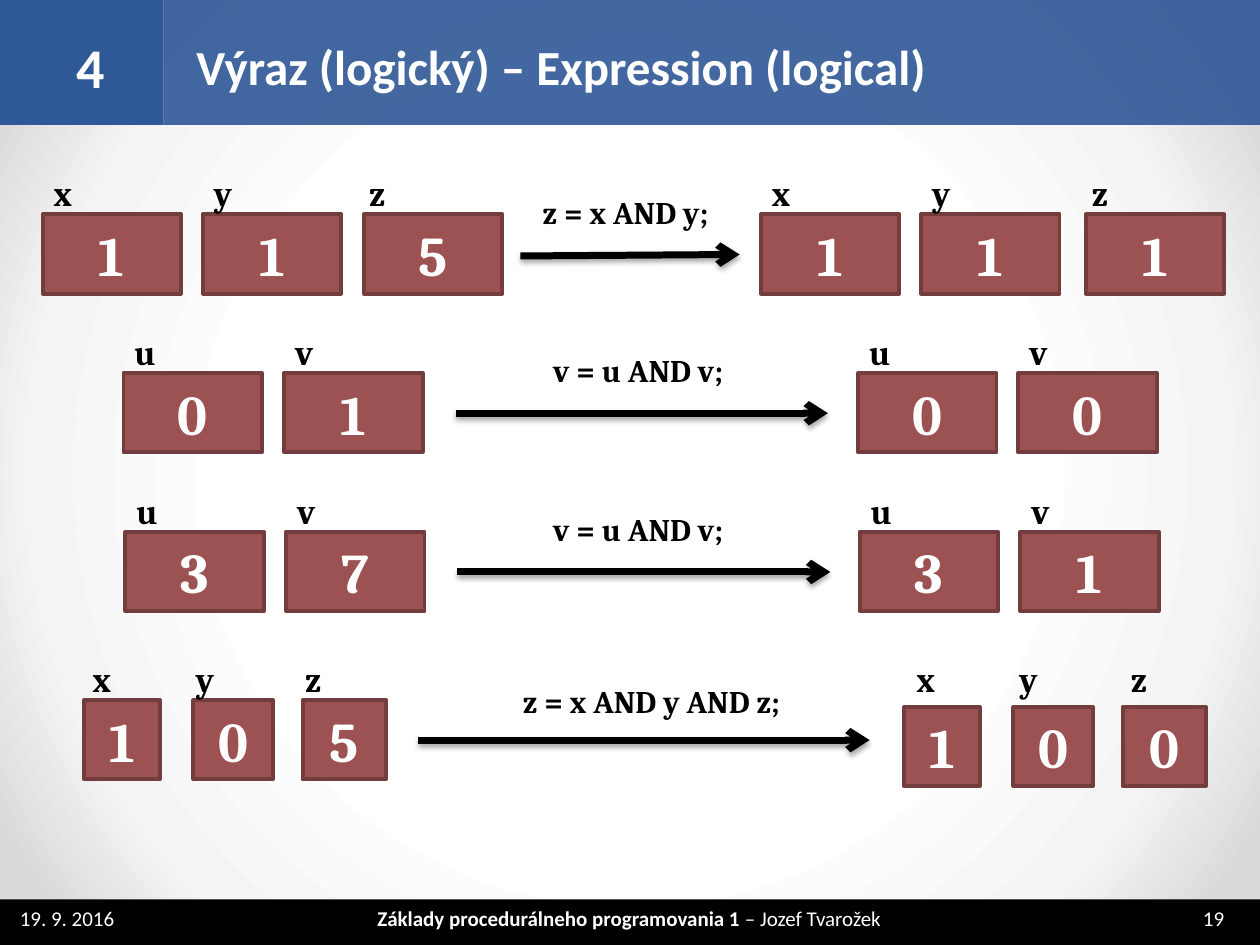
from dataclasses import dataclass

from pptx import Presentation
from pptx.dml.color import RGBColor
from pptx.enum.shapes import MSO_CONNECTOR, MSO_SHAPE
from pptx.enum.text import MSO_ANCHOR as Anchor, MSO_AUTO_SIZE as AutoSize, PP_ALIGN as Align
from pptx.oxml import parse_xml
from pptx.oxml.ns import nsdecls
from pptx.shapes.autoshape import Shape
from pptx.slide import Slide
from pptx.text.text import TextFrame
from pptx.util import Cm, Pt

COLORS = {
    "white": "FFFFFF",
    "pale": "F4F4F4",
    "grey": "DADADA",
    "black": "000000",
    "blue": "2F5897",
    "red": "9C5252",
    "dark_red": "733D3D",
}
NAME_WIDTHS = {"x": 0.86, "y": 0.91, "z": 0.86, "u": 0.94, "v": 0.91}
BOX_WIDTH, BOX_HEIGHT = 2.79, 1.6
NAME_RISE, NAME_HEIGHT = 0.98, 1.12
ARROW_DROP = 0.81


@dataclass(frozen=True)
class Style:
    """Look of a run of text."""
    font: str
    size: float
    color: str
    bold: bool = True


@dataclass(frozen=True)
class Variable:
    """A named memory box, with its name shifted sideways from its left edge."""
    name: str
    value: str
    left: float
    shift: float = -0.03
    width: float = BOX_WIDTH


@dataclass(frozen=True)
class Step:
    """One assignment, with the variables before and after it."""
    top: float
    before: tuple[Variable, ...]
    after: tuple[Variable, ...]
    formula: str
    formula_left: float
    formula_width: float
    arrow_start: float
    arrow_end: float
    formula_rise: float = 0.56
    arrow_slope: float = 0
    after_drop: float = 0


TITLE = Style("Calibri", 28, "white")
CHAPTER = Style("Calibri", 32, "white")
FOOTER = Style("Calibri", 12, "white", False)
FOOTER_BOLD = Style("Calibri", 12, "white")
VALUE = Style("Cambria", 32, "white")
NAME = Style("Cambria", 20, "black")
FORMULA = Style("Cambria", 18, "black")

STEPS = (
    Step(4.32,
         (Variable("x", "1", 0.86), Variable("y", "1", 4.09), Variable("z", "5", 7.34, -0.15)),
         (Variable("x", "1", 15.34), Variable("y", "1", 18.57), Variable("z", "1", 21.89, -0.13)),
         "z = x AND y;", 10.69, 4.19, 10.49, 14.91, arrow_slope=0.03),
    Step(7.52,
         (Variable("u", "0", 2.49), Variable("v", "1", 5.73)),
         (Variable("u", "0", 17.3), Variable("v", "0", 20.53)),
         "v = u AND v;", 10.9, 4.32, 9.19, 16.69),
    Step(10.72,
         (Variable("u", "3", 2.53), Variable("v", "7", 5.77)),
         (Variable("u", "3", 17.33), Variable("v", "1", 20.57)),
         "v = u AND v;", 10.9, 4.32, 9.22, 16.74),
    Step(14.11,
         (Variable("x", "1", 1.7, -0.08, 1.52), Variable("y", "0", 3.9, -0.2, 1.6),
          Variable("z", "5", 6.1, -0.2, 1.68)),
         (Variable("x", "1", 18.23, 0, 1.52), Variable("y", "0", 20.43, -0.13, 1.6),
          Variable("z", "0", 22.63, -0.08, 1.68)),
         "z = x AND y AND z;", 10.29, 6.4, 8.43, 17.53, formula_rise=0.49, after_drop=0.14),
)


def rgb(name: str) -> RGBColor:
    """Look up a colour by name."""
    return RGBColor.from_string(COLORS[name])


def add_span(frame: TextFrame, text: str, style: Style) -> None:
    """Append a styled run to the first paragraph."""
    span = frame.paragraphs[0].add_run()
    span.text = text
    span.font.name = style.font
    span.font.size = Pt(style.size)
    span.font.bold = style.bold
    span.font.color.rgb = rgb(style.color)


def add_text(page: Slide, left: float, top: float, width: float, height: float,
             *spans: tuple[str, Style], align: Align = Align.LEFT, wrap: bool = True) -> TextFrame:
    """Add a text box made of styled runs."""
    frame = page.shapes.add_textbox(Cm(left), Cm(top), Cm(width), Cm(height)).text_frame
    frame.word_wrap = wrap
    frame.auto_size = AutoSize.NONE if wrap else AutoSize.SHAPE_TO_FIT_TEXT
    frame.paragraphs[0].alignment = align
    for text, style in spans:
        add_span(frame, text, style)
    return frame


def add_heading(page: Slide, left: float, width: float, text: str, style: Style, align: Align) -> None:
    """Add a vertically centred text to the top band."""
    frame = add_text(page, left, 0.33, width, 2.01, (text, style), align=align)
    frame.vertical_anchor = Anchor.MIDDLE
    frame.paragraphs[0].space_before = Pt(style.size * 0.2)


def add_box(page: Slide, left: float, top: float, width: float, height: float, fill: str) -> Shape:
    """Add a plain filled rectangle."""
    box = page.shapes.add_shape(MSO_SHAPE.RECTANGLE, Cm(left), Cm(top), Cm(width), Cm(height))
    box.shadow.inherit = False
    box.fill.solid()
    box.fill.fore_color.rgb = rgb(fill)
    box.line.fill.background()
    return box


def add_variable(page: Slide, variable: Variable, top: float, name_top: float) -> None:
    """Draw a memory box with its value and its name above."""
    box = add_box(page, variable.left, top, variable.width, BOX_HEIGHT, "red")
    box.line.color.rgb = rgb("dark_red")
    box.line.width = Pt(2.25)
    frame = box.text_frame
    frame.vertical_anchor = Anchor.MIDDLE
    frame.paragraphs[0].alignment = Align.CENTER
    add_span(frame, variable.value, VALUE)
    add_text(page, variable.left + variable.shift, name_top, NAME_WIDTHS[variable.name],
             NAME_HEIGHT, (variable.name, NAME), wrap=False)


def add_arrow(page: Slide, start: float, end: float, y: float, slope: float) -> None:
    """Draw a thick arrow with a soft shadow."""
    arrow = page.shapes.add_connector(
        MSO_CONNECTOR.STRAIGHT, Cm(start), Cm(y + slope), Cm(end), Cm(y))
    arrow.line.color.rgb = rgb("black")
    arrow.line.width = Pt(4)
    arrow.line._get_or_add_ln().append(parse_xml(f'<a:tailEnd {nsdecls("a")} type="arrow"/>'))
    arrow._element.spPr.append(parse_xml(
        f'<a:effectLst {nsdecls("a")}>'
        '<a:outerShdw blurRad="40000" dist="23000" dir="5400000" rotWithShape="0">'
        f'<a:srgbClr val="{COLORS["black"]}"><a:alpha val="35000"/></a:srgbClr>'
        '</a:outerShdw></a:effectLst>'))


def add_step(page: Slide, step: Step) -> None:
    """Draw one assignment from its old values to its new ones."""
    for variables, drop in ((step.before, 0), (step.after, step.after_drop)):
        for variable in variables:
            add_variable(page, variable, step.top + drop, step.top - NAME_RISE)
    add_arrow(page, step.arrow_start, step.arrow_end, step.top + ARROW_DROP, step.arrow_slope)
    add_text(page, step.formula_left, step.top - step.formula_rise, step.formula_width, 1.02,
             (step.formula, FORMULA), wrap=False)


def paint_background(page: Slide) -> None:
    """Fill the page with a round gradient."""
    page.background.fill.solid()
    solid = page._element.cSld.bg.bgPr[0]
    stops = "".join(
        f'<a:gs pos="{position * 1000}"><a:srgbClr val="{COLORS[color]}"/></a:gs>'
        for position, color in ((50, "white"), (76, "pale"), (92, "grey")))
    solid.getparent().replace(solid, parse_xml(
        f'<a:gradFill {nsdecls("a")} rotWithShape="1"><a:gsLst>{stops}</a:gsLst>'
        '<a:path path="circle"><a:fillToRect l="50000" t="50000" r="50000" b="50000"/></a:path>'
        '</a:gradFill>'))


def add_frame(page: Slide) -> None:
    """Draw the top band and the footer with their texts."""
    add_box(page, 0, 18.13, 25.4, 0.92, "black")
    banner = add_box(page, 3.3, 0, 22.1, 2.52, "blue")
    banner.fill._xPr.solidFill[0].append(parse_xml(f'<a:alpha {nsdecls("a")} val="90000"/>'))
    add_box(page, 0, 0, 3.3, 2.52, "blue")
    add_text(page, 0.15, 18.13, 3.35, 0.77, ("19. 9. 2016", FOOTER))
    add_text(page, 24, 18.13, 1.4, 0.77, ("19", FOOTER))
    add_text(page, 5.89, 18.13, 13.59, 0.74,
             ("Základy procedurálneho programovania 1 ", FOOTER_BOLD),
             ("– Jozef Tvarožek", FOOTER), align=Align.CENTER)
    add_heading(page, 3.71, 21.21, "Výraz (logický) – Expression (logical)", TITLE, Align.LEFT)
    add_heading(page, 0.53, 2.59, "4", CHAPTER, Align.CENTER)


def main() -> None:
    """Build the slide and save it."""
    deck = Presentation()
    deck.slide_width, deck.slide_height = Cm(25.4), Cm(19.05)
    page = deck.slides.add_slide(deck.slide_layouts[6])
    paint_background(page)
    add_frame(page)
    for step in STEPS:
        add_step(page, step)
    deck.save("out.pptx")


if __name__ == "__main__":
    main()
